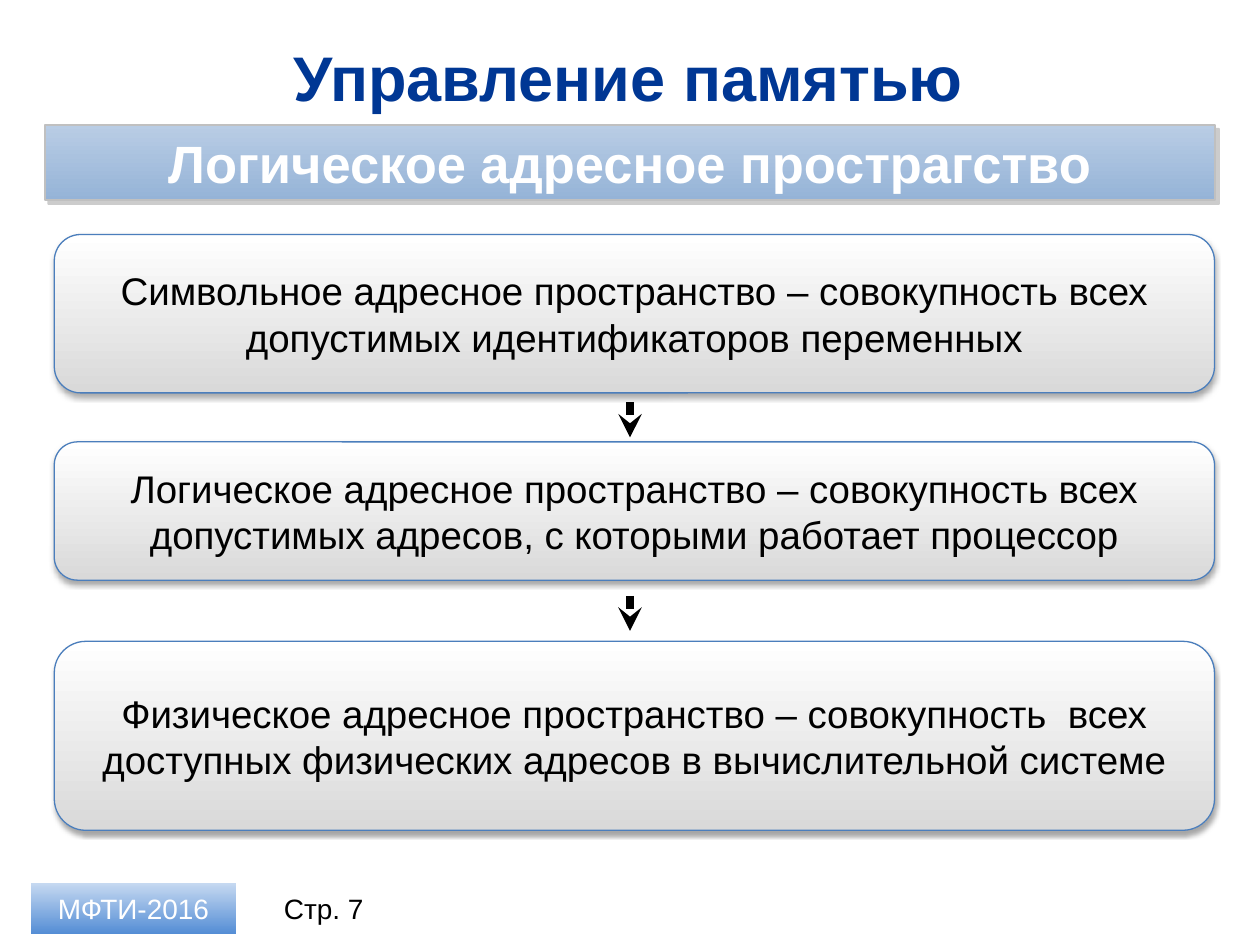
import pptx
import pptx.util
import pptx.dml.color
import pptx.enum.shapes
import pptx.enum.text
import pptx.oxml
import pptx.oxml.ns

Pt = pptx.util.Pt
Shape = pptx.enum.shapes.MSO_SHAPE

TITLE = "Управление памятью"
BANNER = "Логическое адресное прострагство"
FOOTER = "МФТИ-2016"
PAGE_NUMBER = "Стр. 7"
SPACES = [
    ("Символьное адресное пространство – совокупность всех допустимых идентификаторов переменных", 134, 90.5),
    ("Логическое адресное пространство – совокупность всех допустимых адресов, с которыми работает процессор", 252.5, 79),
    ("Физическое адресное пространство – совокупность  всех доступных физических адресов в вычислительной системе", 366.5, 108),
]
SPACE_LEFT, SPACE_WIDTH = 31, 663
ARROW_X, ARROW_LENGTH, ARROW_DROP = 360, 20, 1.5
SPACE_SHADOW = dict(color="000000", alpha=35, blur=3.1, distance=1.8, angle=90)
BANNER_SHADOW = dict(color="808080", alpha=40, blur=0, distance=3, angle=45)


def rgb(value):
    return pptx.dml.color.RGBColor.from_string(value)


def write(box, text, size, color="000000", bold=False, margins=(7.2, 3.6)):
    frame = box.text_frame
    frame.word_wrap = True
    frame.auto_size = pptx.enum.text.MSO_AUTO_SIZE.NONE
    frame.vertical_anchor = pptx.enum.text.MSO_ANCHOR.MIDDLE
    frame.margin_left = frame.margin_right = Pt(margins[0])
    frame.margin_top = frame.margin_bottom = Pt(margins[1])
    para = frame.paragraphs[0]
    para.alignment = pptx.enum.text.PP_ALIGN.CENTER
    span = para.add_run()
    span.text = text
    span.font.name = "Arial"
    span.font.size = Pt(size)
    span.font.bold = bold
    span.font.color.rgb = rgb(color)


def add_shadow(box, color, alpha, blur, distance, angle):
    effects = box._element.spPr.find(pptx.oxml.ns.qn("a:effectLst"))
    effects.append(pptx.oxml.parse_xml(
        f'<a:outerShdw {pptx.oxml.ns.nsdecls("a")} blurRad="{Pt(blur)}" dist="{Pt(distance)}" '
        f'dir="{angle * 60000}" algn="ctr" rotWithShape="0">'
        f'<a:srgbClr val="{color}"><a:alpha val="{alpha * 1000}"/></a:srgbClr></a:outerShdw>'))


def add_panel(page, kind, place, colors, line=None, shadow=None):
    box = page.shapes.add_shape(kind, *map(Pt, place))
    box.fill.gradient()
    box.fill.gradient_angle = 270
    for stop, color in zip(box.fill.gradient_stops, colors):
        stop.color.rgb = rgb(color)
    if line:
        box.line.color.rgb = rgb(line[0])
        box.line.width = Pt(line[1])
    else:
        box.line.fill.background()
    box.shadow.inherit = False
    if shadow:
        add_shadow(box, **shadow)
    return box


def add_arrow(page, top):
    arrow = page.shapes.add_connector(
        pptx.enum.shapes.MSO_CONNECTOR.STRAIGHT,
        Pt(ARROW_X), Pt(top), Pt(ARROW_X), Pt(top + ARROW_LENGTH))
    arrow.line.color.rgb = rgb("000000")
    arrow.line.width = Pt(4.5)
    namespace = pptx.oxml.ns.nsdecls("a")
    arrow.line._get_or_add_ln().append(pptx.oxml.parse_xml(f'<a:tailEnd {namespace} type="stealth"/>'))
    arrow._element.spPr.append(pptx.oxml.parse_xml(f"<a:effectLst {namespace}/>"))


def main():
    deck = pptx.Presentation()
    deck.slide_width, deck.slide_height = Pt(720), Pt(540)
    page = deck.slides.add_slide(deck.slide_layouts[5])

    title = page.shapes.title
    title.left, title.top, title.width, title.height = map(Pt, (17.5, 19, 683, 49))
    write(title, TITLE, 36, color="003794", bold=True)

    banner = add_panel(page, Shape.RECTANGLE, (25.5, 71.5, 669, 43),
                       ("B9CDE5", "95B3D7"), ("C0C0C0", 1), BANNER_SHADOW)
    write(banner, BANNER, 30, color="FFFFFF", bold=True, margins=(17.3, 2.9))

    for text, top, height in SPACES:
        box = add_panel(page, Shape.ROUNDED_RECTANGLE, (SPACE_LEFT, top, SPACE_WIDTH, height),
                        ("FFFFFF", "D9D9D9"), ("4B7EBC", 0.75), SPACE_SHADOW)
        write(box, text, 22)

    for (_, top, height), (_, next_top, _) in zip(SPACES, SPACES[1:]):
        middle = (top + height + next_top) / 2 + ARROW_DROP
        add_arrow(page, middle - ARROW_LENGTH / 2)

    footer = add_panel(page, Shape.RECTANGLE, (17.5, 504.5, 117.5, 29), ("C6D9F1", "558ED5"))
    write(footer, FOOTER, 16, color="FFFFFF")
    number = page.shapes.add_textbox(Pt(146), Pt(504.5), Pt(78), Pt(29))
    write(number, PAGE_NUMBER, 16)

    deck.save("out.pptx")


if __name__ == "__main__":
    main()
